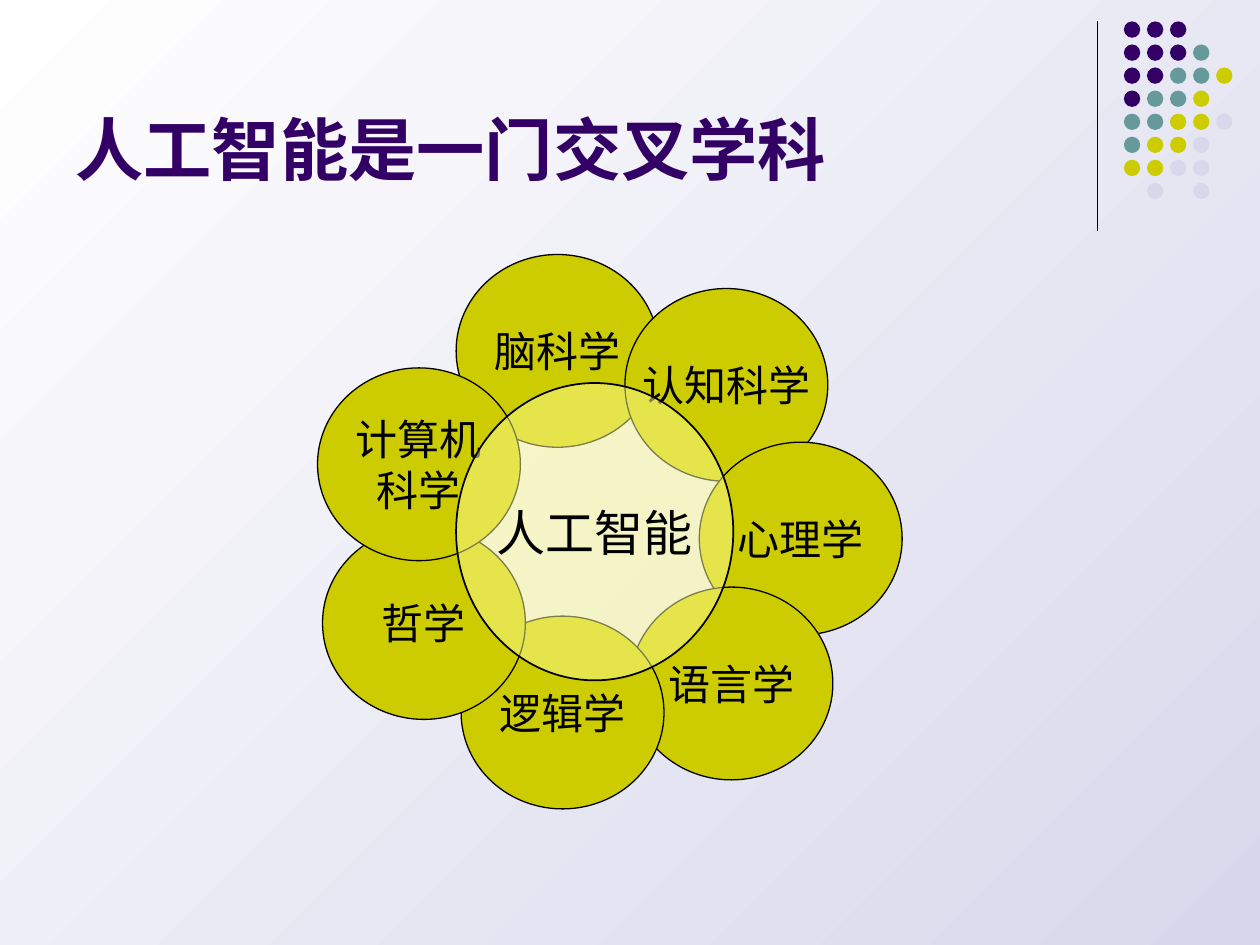
"""Build a slide showing artificial intelligence as a cross-disciplinary field."""
from lxml.etree import SubElement
from pptx import Presentation
from pptx.dml.color import RGBColor
from pptx.enum.shapes import MSO_CONNECTOR as Connector, MSO_SHAPE as Shape
from pptx.enum.text import MSO_ANCHOR as Anchor, PP_ALIGN as Align
from pptx.oxml.ns import qn
from pptx.util import Inches, Pt

COLORS = {
    "ink": "000000",
    "purple": "330066",
    "teal": "669999",
    "olive": "CCCC00",
    "lavender": "D8D8EC",
    "cream": "FFFF99",
    "white": "FFFFFF",
}
DOT_COLORS = {"P": "purple", "T": "teal", "O": "olive", "L": "lavender"}
DOT_ROWS = ["PPP", "PPPT", "PPTTO", "PTTO", "TTOOL", "TOOL", "OOLL", ".L.L"]
DOT_PITCH, DOT_SIZE = 1.83, 1.3
PETAL_SIZE = (16.1, 15.3)
DISCIPLINES = [
    (["脑科学"], 36.2, 20.2),
    (["认知科学"], 49.6, 22.9),
    (["心理学"], 55.5, 35.1),
    (["语言学"], 50, 46.6),
    (["逻辑学"], 36.6, 48.9),
    (["哲学"], 25.6, 41.8),
    (["计算机", "科学"], 25.2, 29.2),
]


class Deck:
    """Hold the style and current slide on a grid of 100 columns by 75 rows."""

    font = "Arial"
    columns, rows = 100, 75

    def __init__(self):
        self.presentation = Presentation()
        self.presentation.slide_width = Inches(10)
        self.presentation.slide_height = Inches(7.5)
        self.slide = self.presentation.slides.add_slide(self.presentation.slide_layouts[6])

    def place(self, *lengths):
        column = self.presentation.slide_width / self.columns
        row = self.presentation.slide_height / self.rows
        return [round(n * (row if i % 2 else column)) for i, n in enumerate(lengths)]

    def color(self, name):
        return RGBColor.from_string(COLORS[name])

    def background(self, start, end, angle):
        fill = self.slide.background.fill
        fill.gradient()
        fill.gradient_angle = angle
        for stop, name, position in zip(fill.gradient_stops, (start, end), (0, 1)):
            stop.color.rgb = self.color(name)
            stop.position = position

    def line(self, x1, y1, x2, y2, width=0.75):
        rule = self.slide.shapes.add_connector(Connector.STRAIGHT, *self.place(x1, y1, x2, y2))
        rule.line.color.rgb = self.color("ink")
        rule.line.width = Pt(width)
        SubElement(rule.element.spPr, qn("a:effectLst"))

    def label(self, frame, lines, size, color="ink", bold=False, align=Align.CENTER):
        for index, words in enumerate(lines):
            paragraph = frame.add_paragraph() if index else frame.paragraphs[0]
            paragraph.alignment = align
            run = paragraph.add_run()
            run.text = words
            run.font.name, run.font.size, run.font.bold = self.font, Pt(size), bold
            run.font.color.rgb = self.color(color)

    def title(self, words, x, y, width, height):
        frame = self.slide.shapes.add_textbox(*self.place(x, y, width, height)).text_frame
        frame.word_wrap = True
        frame.vertical_anchor = Anchor.BOTTOM
        self.label(frame, [words], 39, "purple", True, Align.LEFT)

    def circle(self, x, y, width, height, fill, outline=None, lines=(), size=24, opacity=None):
        oval = self.slide.shapes.add_shape(Shape.OVAL, *self.place(x, y, width, height))
        oval.shadow.inherit = False
        oval.fill.solid()
        oval.fill.fore_color.rgb = self.color(fill)
        if opacity:
            tint = oval.element.spPr.find(qn("a:solidFill"))[0]
            SubElement(tint, qn("a:alpha"), val=str(opacity * 1000))
        if outline:
            oval.line.color.rgb = self.color("ink")
            oval.line.width = Pt(outline)
        else:
            oval.line.fill.background()
        oval.text_frame.word_wrap = False
        oval.text_frame.vertical_anchor = Anchor.MIDDLE
        self.label(oval.text_frame, lines, size)

    def dots(self, x, y):
        for row, codes in enumerate(DOT_ROWS):
            for column, code in enumerate(codes):
                if code in DOT_COLORS:
                    self.circle(x + column * DOT_PITCH, y + row * DOT_PITCH,
                                DOT_SIZE, DOT_SIZE, DOT_COLORS[code])


def main():
    deck = Deck()
    deck.background("lavender", "white", 135)
    deck.line(87.1, 1.7, 87.1, 18.3)
    deck.dots(89.2, 1.7)
    deck.title("人工智能是一门交叉学科", 5, 1.3, 82.5, 14.2)
    for discipline, x, y in DISCIPLINES:
        deck.circle(x, y, *PETAL_SIZE, "olive", 0.75, discipline)
    deck.circle(36.2, 30.4, 22, 23.6, "cream", 1, ["人工智能"], 28, 49)
    deck.presentation.save("out.pptx")


if __name__ == "__main__":
    main()
